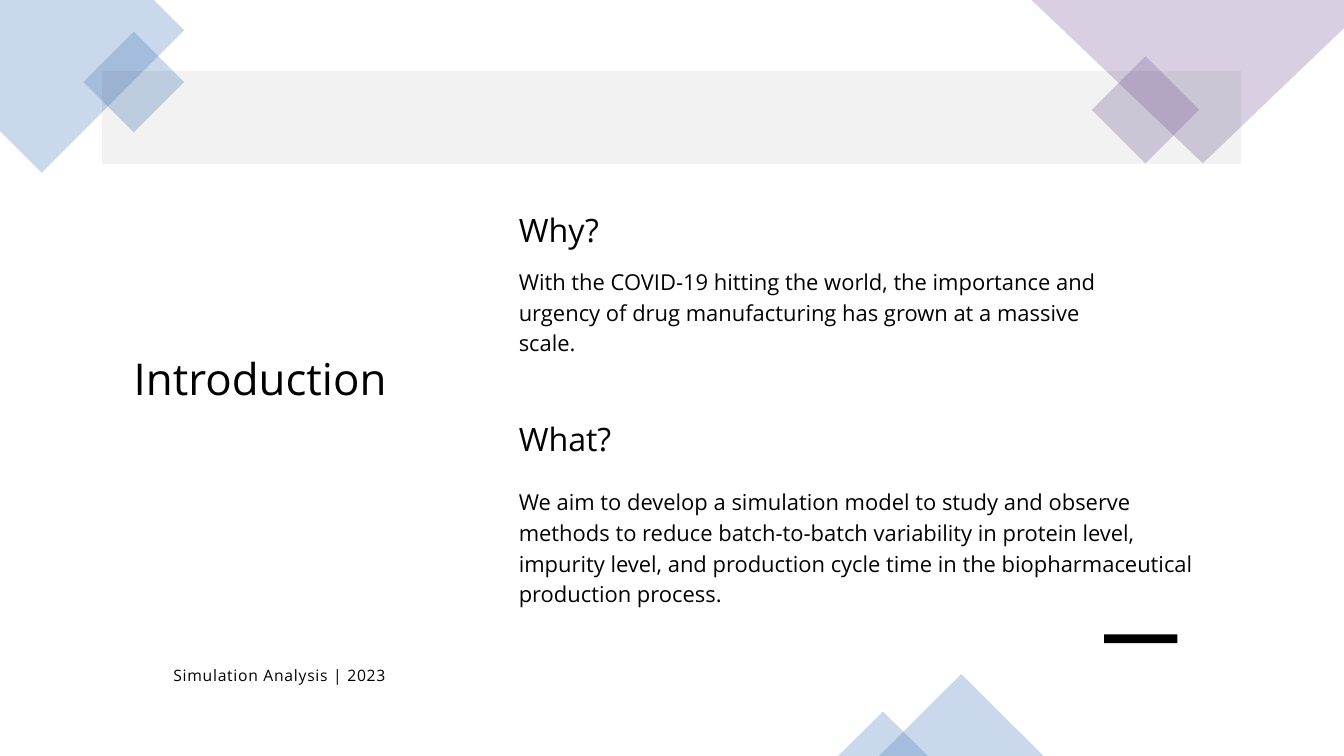
from dataclasses import dataclass

from lxml.etree import SubElement
from pptx import Presentation
from pptx.dml.color import RGBColor
from pptx.enum.shapes import MSO_SHAPE
from pptx.enum.text import MSO_ANCHOR, MSO_AUTO_SIZE, PP_ALIGN
from pptx.oxml.ns import qn
from pptx.util import Inches, Pt


@dataclass(frozen=True)
class Theme:
    font: str = "Open Sans"
    black: RGBColor = RGBColor(0x00, 0x00, 0x00)
    blue: RGBColor = RGBColor(0x4F, 0x81, 0xBD)
    purple: RGBColor = RGBColor(0x80, 0x64, 0xA2)
    tint: int = 30
    faint: int = 5
    # Type size and line spacing in points
    title: tuple = (47, 56.5)
    heading: tuple = (34.5, 48.2)
    body: tuple = (23.5, 32.9)
    footer: tuple = (16.8, 20.2)


class SlideBuilder:
    def __init__(self, slide, theme):
        self.slide = slide
        self.theme = theme

    def paint(self, shape, color, opacity=100):
        shape.shadow.inherit = False
        shape.line.fill.background()
        shape.fill.solid()
        shape.fill.fore_color.rgb = color
        if opacity < 100:
            srgb = shape.fill._xPr.find(".//" + qn("a:srgbClr"))
            SubElement(srgb, qn("a:alpha"), val=str(opacity * 1000))

    def preset(self, kind, box, color, opacity=100, rotation=0):
        shape = self.slide.shapes.add_shape(kind, *map(Inches, box))
        shape.rotation = rotation
        self.paint(shape, color, opacity)

    def diamond(self, left, top, side, color):
        self.preset(MSO_SHAPE.RECTANGLE, (left, top, side, side), color,
                    self.theme.tint, rotation=45)

    def polygon(self, points, color):
        start, *rest = [(Inches(x), Inches(y)) for x, y in points]
        builder = self.slide.shapes.build_freeform(*start)
        builder.add_line_segments(rest, close=True)
        self.paint(builder.convert_to_shape(), color, self.theme.tint)

    def set_text(self, shape, box, text, style, align=PP_ALIGN.LEFT):
        shape.left, shape.top, shape.width, shape.height = map(Inches, box)
        frame = shape.text_frame
        frame.text = text
        frame.word_wrap = True
        frame.auto_size = MSO_AUTO_SIZE.NONE
        frame.vertical_anchor = MSO_ANCHOR.TOP
        frame.margin_left = frame.margin_right = 0
        frame.margin_top = frame.margin_bottom = 0

        size, spacing = style
        paragraph = frame.paragraphs[0]
        paragraph.alignment = align
        paragraph.line_spacing = Pt(spacing)
        paragraph.space_before = Pt(0)
        paragraph.space_after = Pt(6)
        paragraph.font.name = self.theme.font
        paragraph.font.size = Pt(size)
        paragraph.font.bold = False
        paragraph.font.color.rgb = self.theme.black
        return paragraph

    def placeholder(self, index, box, text, style):
        paragraph = self.set_text(self.slide.placeholders[index], box, text, style)
        # No bullet and no hanging indent
        properties = paragraph._p.get_or_add_pPr()
        properties.set("marL", "0")
        properties.set("indent", "0")
        bullet = properties.makeelement(qn("a:buNone"), {})
        properties.insert_element_before(bullet, "a:tabLst", "a:defRPr", "a:extLst")

    def footer(self, box, text):
        shape = self.slide.shapes.add_textbox(*map(Inches, box))
        paragraph = self.set_text(shape, box, text, self.theme.footer,
                                  PP_ALIGN.RIGHT)
        paragraph.runs[0].font._element.set("spc", "80")


def main():
    theme = Theme()
    deck = Presentation()
    deck.slide_width, deck.slide_height = Inches(20), Inches(11.25)
    comparison = deck.slide_layouts[4]
    page = SlideBuilder(deck.slides.add_slide(comparison), theme)

    # Corner decorations
    page.polygon([(0, 0), (2.29, 0), (2.74, 0.45), (0.62, 2.57), (0, 1.95)],
                 theme.blue)
    page.diamond(1.46, 0.69, 1.06, theme.blue)
    page.diamond(16.48, 1.07, 1.13, theme.purple)
    page.polygon([(15.35, 0), (20, 0), (20, 0.42), (17.9, 2.43)], theme.purple)

    # Bottom peaks
    for peak in ((13.08, 10.03, 2.45, 1.22), (12.47, 10.59, 1.34, 0.66)):
        page.preset(MSO_SHAPE.ISOSCELES_TRIANGLE, peak, theme.blue, theme.tint)

    # Accent bar and header band
    page.preset(MSO_SHAPE.RECTANGLE, (16.43, 9.44, 1.09, 0.13), theme.black)
    page.preset(MSO_SHAPE.RECTANGLE, (1.52, 1.06, 16.95, 1.38), theme.black,
                theme.faint)

    # Title, then each question with its answer
    page.placeholder(0, (1.99, 5.23, 4.16, 0.79), "Introduction", theme.title)
    column = 7.72
    page.placeholder(1, (column, 3.04, 5.85, 0.65), "Why?", theme.heading)
    page.placeholder(
        2, (column, 3.93, 8.94, 1.36),
        "With the COVID-19 hitting the world, the importance and urgency of "
        "drug manufacturing has grown at a massive scale.", theme.body)
    page.placeholder(3, (column, 6.15, 5.85, 0.65), "What?", theme.heading)
    page.placeholder(
        4, (column, 7.21, 10.14, 1.82),
        "We aim to develop a simulation model to study and observe methods to "
        "reduce batch-to-batch variability in protein level, impurity level, "
        "and production cycle time in the biopharmaceutical production process.",
        theme.body)

    # Footer
    page.footer((1.52, 9.91, 4.22, 0.28), "Simulation Analysis | 2023")

    deck.save("out.pptx")


if __name__ == "__main__":
    main()
